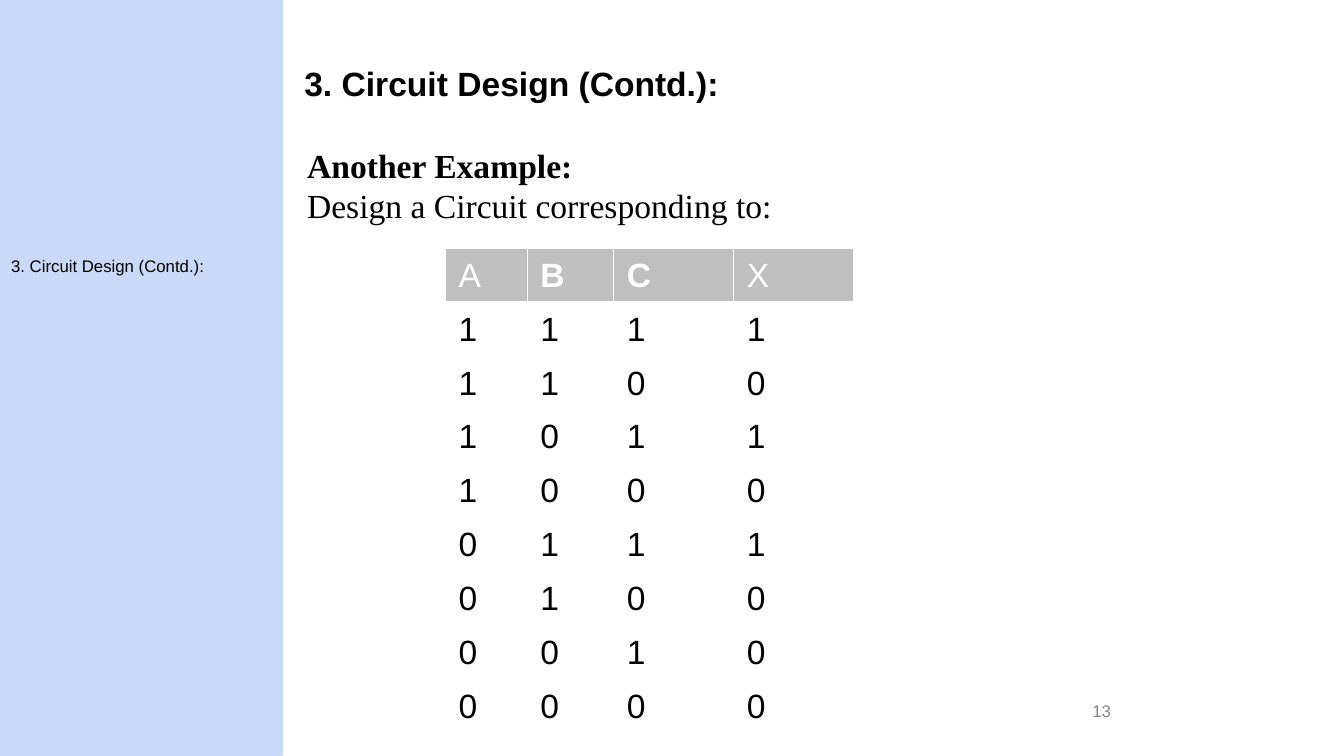
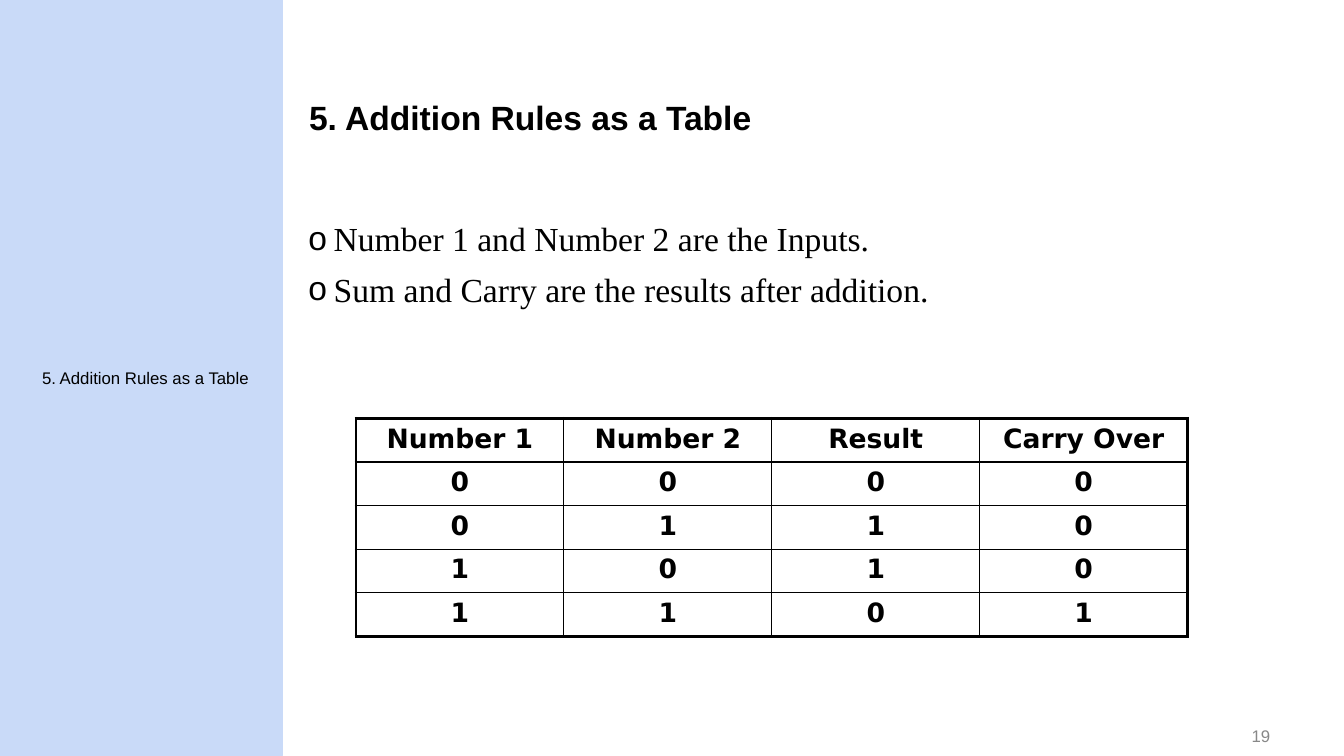
"""Build two lecture slides on circuit design and binary addition."""
from lxml import etree
from pptx import Presentation
from pptx.dml.color import RGBColor
from pptx.enum import shapes, text
from pptx.oxml import ns
from pptx.util import Cm, Pt

BLACK = RGBColor(0x00, 0x00, 0x00)
WHITE = RGBColor(0xFF, 0xFF, 0xFF)
SIDEBAR_BLUE = RGBColor(0xC9, 0xDA, 0xF8)
HEADER_GRAY = RGBColor(0xBF, 0xBF, 0xBF)
NUMBER_GRAY = RGBColor(0x88, 0x88, 0x88)
SANS, SERIF, TABLE_SANS = "Arial", "Times New Roman", "DejaVu Sans"
SLIDE_WIDTH, SLIDE_HEIGHT = Cm(33.87), Cm(19.05)

TRUTH_TABLE = ["ABCX", "1111", "1100", "1011", "1000", "0111", "0100", "0010", "0000"]
ADDITION_TABLE = [["Number 1", "Number 2", "Result", "Carry Over"],
                  "0000", "0110", "1010", "1101"]


def style(paragraph, size, font=SANS, color=BLACK, bold=False):
    """Format the runs of a paragraph."""
    for run in paragraph.runs:
        run.font.size = Pt(size)
        run.font.name = font
        run.font.color.rgb = color
        run.font.bold = bold


def add_text(slide, box, lines, size, font=SANS, color=BLACK, bold=False, middle=False):
    """Add a wrapping text box and return its paragraphs."""
    frame = slide.shapes.add_textbox(*map(Cm, box)).text_frame
    frame.word_wrap = True
    frame.vertical_anchor = text.MSO_ANCHOR.MIDDLE if middle else text.MSO_ANCHOR.TOP
    frame.text = "\n".join(lines)
    for paragraph in frame.paragraphs:
        style(paragraph, size, font, color, bold)
    return frame.paragraphs


def add_sidebar(slide):
    """Draw the blue band on the left."""
    band = slide.shapes.add_shape(shapes.MSO_SHAPE.RECTANGLE, 0, 0, Cm(7.11), SLIDE_HEIGHT)
    band.shadow.inherit = False
    band.fill.solid()
    band.fill.fore_color.rgb = SIDEBAR_BLUE
    band.line.color.rgb = SIDEBAR_BLUE
    band.line.width = Pt(0.75)


def add_base(deck, title, title_at, label_at, number, number_box):
    """Add a slide with sidebar, title, sidebar label and page number."""
    slide = deck.slides.add_slide(deck.slide_layouts[6])
    add_sidebar(slide)
    heading = add_text(slide, (*title_at, 25.6, 3.68), [title], 24, bold=True, middle=True)
    heading[0].line_spacing = 0.9
    add_text(slide, (*label_at, 9.73, 0.76), [title], 12)
    page = add_text(slide, number_box, [number], 12, color=NUMBER_GRAY, middle=True)
    page[0].alignment = text.PP_ALIGN.RIGHT
    return slide


def add_bullet(paragraph, mark, indent):
    """Give a paragraph a hanging bullet."""
    properties = paragraph._p.get_or_add_pPr()
    properties.set("marL", str(indent))
    properties.set("indent", str(-indent))
    color = etree.SubElement(properties, ns.qn("a:buClr"))
    etree.SubElement(color, ns.qn("a:srgbClr"), val=str(BLACK))
    etree.SubElement(properties, ns.qn("a:buFont"), typeface=SANS)
    etree.SubElement(properties, ns.qn("a:buChar"), char=mark)


def set_borders(cell, color, widths):
    """Set left, right, top and bottom border widths in points."""
    properties = cell._tc.get_or_add_tcPr()
    for position, (side, width) in enumerate(zip("LRTB", widths)):
        border = etree.Element(ns.qn(f"a:ln{side}"), w=str(Pt(width)))
        fill = etree.SubElement(border, ns.qn("a:solidFill"))
        etree.SubElement(fill, ns.qn("a:srgbClr"), val=str(color))
        properties.insert(position, border)


def add_grid(slide, at, rows, widths, row_height, format_cell):
    """Add a plain table and format each cell by its row and column."""
    size = sum(widths), row_height * len(rows)
    table = slide.shapes.add_table(len(rows), len(widths), *map(Cm, (*at, *size))).table
    table.first_row = table.horz_banding = False
    for column, width in zip(table.columns, widths):
        column.width = Cm(width)
    for r, values in enumerate(rows):
        table.rows[r].height = Cm(row_height)
        for c, value in enumerate(values):
            cell = table.cell(r, c)
            cell.text = value
            format_cell(cell, r, c)


def format_truth_cell(cell, row, column):
    """Gray header over white rows, with white borders."""
    header = row == 0
    cell.margin_left = cell.margin_right = Cm(0.33)
    cell.margin_top = cell.margin_bottom = Cm(0.17)
    cell.vertical_anchor = text.MSO_ANCHOR.MIDDLE
    cell.fill.solid()
    cell.fill.fore_color.rgb = HEADER_GRAY if header else WHITE
    style(cell.text_frame.paragraphs[0], 24, color=WHITE if header else BLACK,
          bold=header and column in (1, 2))
    set_borders(cell, WHITE, (1, 1, 3 if row == 1 else 1, 3 if header else 1))


def format_addition_cell(cell, row, column):
    """Bold centred text with a heavier outer frame."""
    last_row, last_column = len(ADDITION_TABLE) - 1, len(ADDITION_TABLE[0]) - 1
    cell.fill.background()
    paragraph = cell.text_frame.paragraphs[0]
    paragraph.alignment = text.PP_ALIGN.CENTER
    style(paragraph, 19, TABLE_SANS, bold=True)
    outer = column == 0, column == last_column, row == 0, row == last_row
    set_borders(cell, BLACK, [2.25 if edge else 1 for edge in outer])


def build_circuit_slide(deck):
    """Truth table for the circuit design example."""
    slide = add_base(deck, "3. Circuit Design (Contd.):", (7.42, 0.33), (0.03, 6.32),
                     "13", (22.43, 17.4, 5.82, 1.04))
    intro = add_text(slide, (7.49, 3.53, 25.68, 2.31),
                     ["Another Example:", "Design a Circuit corresponding to:"], 24, SERIF)
    style(intro[0], 24, SERIF, bold=True)
    add_grid(slide, (11.23, 6.27), TRUTH_TABLE, (2.06, 2.18, 3.02, 3.02), 1.35,
             format_truth_cell)


def build_addition_slide(deck):
    """Binary addition rules."""
    slide = add_base(deck, "5. Addition Rules as a Table", (7.54, 1.17), (0.81, 9.14),
                     "19", (24.64, 18.03, 7.62, 1.02))
    points = add_text(slide, (7.52, 5.49, 25.6, 4.45),
                      ["Number 1 and Number 2 are the Inputs.",
                       "Sum and Carry are the results after addition."], 24, SERIF)
    for point in points:
        add_bullet(point, "o", Cm(0.64))
        point.line_spacing = 0.9
    points[1].space_before = Pt(10)
    add_grid(slide, (8.97, 10.54), ADDITION_TABLE, [5.24] * 4, 1.1, format_addition_cell)


def main():
    """Create and save the presentation."""
    deck = Presentation()
    deck.slide_width, deck.slide_height = SLIDE_WIDTH, SLIDE_HEIGHT
    build_circuit_slide(deck)
    build_addition_slide(deck)
    deck.save("out.pptx")


if __name__ == "__main__":
    main()
